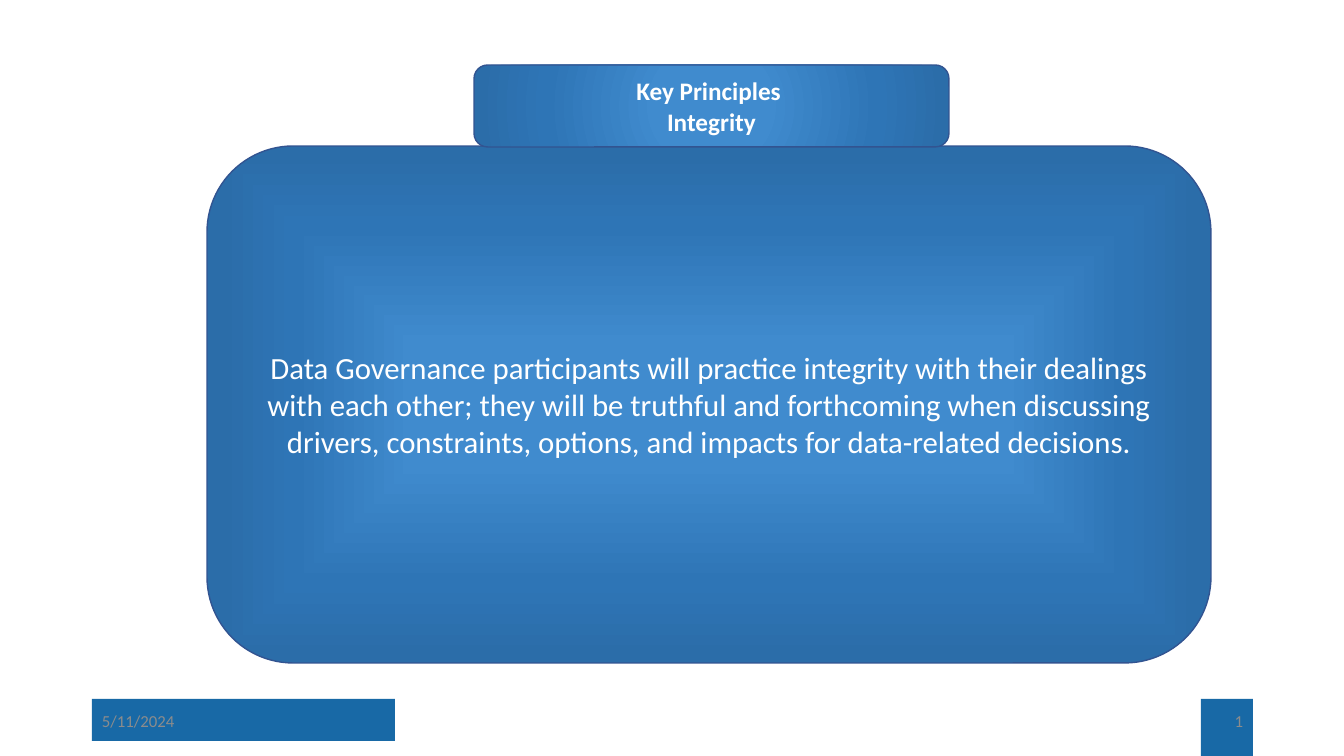
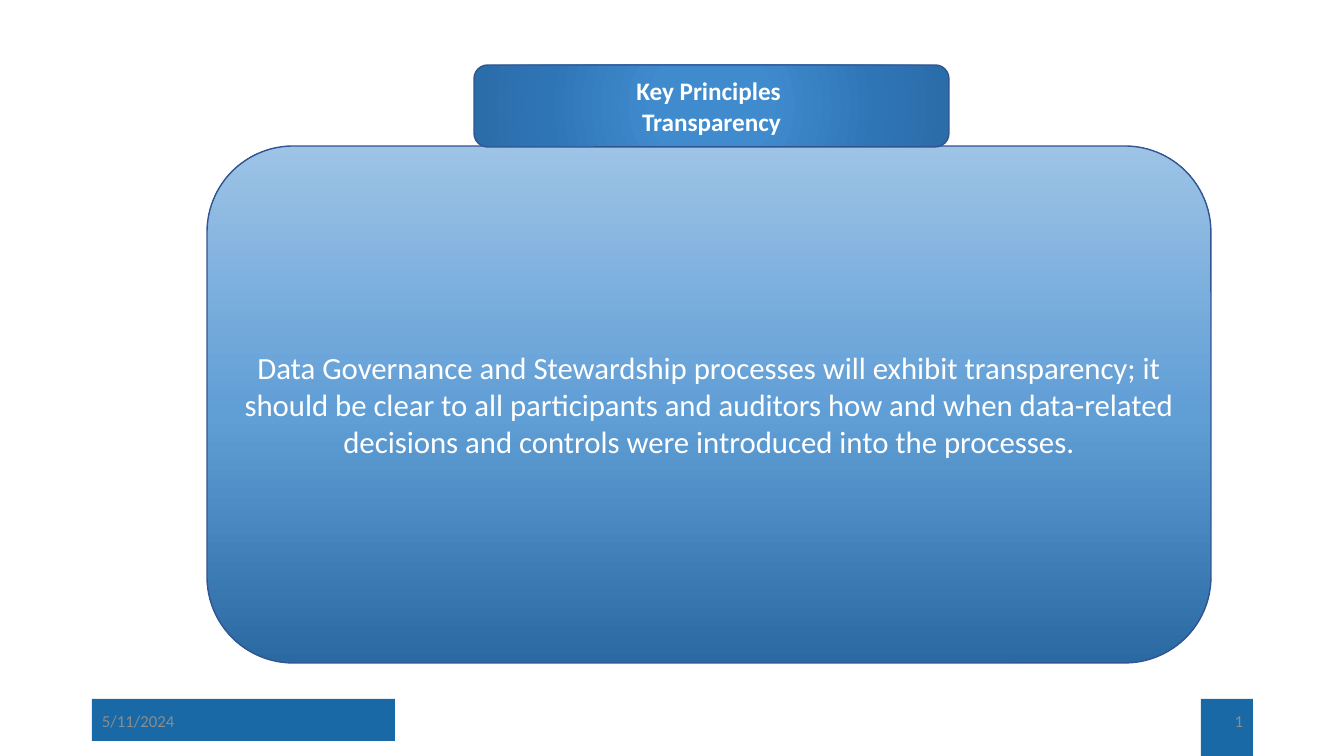
from lxml import etree
from pptx import Presentation
from pptx.dml.color import RGBColor
from pptx.enum.shapes import MSO_SHAPE
from pptx.enum.text import MSO_ANCHOR, PP_ALIGN
from pptx.oxml.ns import qn
from pptx.util import Emu, Pt

RECTANGLE, ROUNDED = MSO_SHAPE.RECTANGLE, MSO_SHAPE.ROUNDED_RECTANGLE
LEFT, CENTER, RIGHT = PP_ALIGN.LEFT, PP_ALIGN.CENTER, PP_ALIGN.RIGHT
MIDDLE = MSO_ANCHOR.MIDDLE

EMU_PER_PX = 914400 / 100.8
FONT = "Calibri"
WHITE = RGBColor(0xFF, 0xFF, 0xFF)
GREY = RGBColor(0x8C, 0x8C, 0x8C)
BAND = RGBColor(0x18, 0x69, 0xA6)
OUTLINE = RGBColor(0x32, 0x54, 0x91)
BRIGHT = RGBColor(0x40, 0x8B, 0xCE)
MEDIUM = RGBColor(0x2E, 0x75, 0xB6)
DEEP = RGBColor(0x2B, 0x6D, 0xA9)
DARK = RGBColor(0x2A, 0x69, 0xA2)
SKY = RGBColor(0x60, 0x9E, 0xD6)
PALE = RGBColor(0x9D, 0xC3, 0xE6)

GLOW = [(0, BRIGHT), (23, BRIGHT), (69, MEDIUM), (97, DEEP)]
RISING = [(0, DARK), (48, SKY), (100, PALE)]

PAGE_SIZE = (1344, 756)
TITLE_BOX = (474, 65, 475, 82)
BODY_BOX = (207, 146, 1004, 517)
FOOTER_BOX = (92, 699, 1161, 57)

PRINCIPLES = [
    ("Integrity",
     "Data Governance participants will practice integrity with their dealings "
     "with each other; they will be truthful and forthcoming when discussing "
     "drivers, constraints, options, and impacts for data-related decisions.",
     GLOW, "shape"),
    ("Transparency",
     "Data Governance and Stewardship processes will exhibit transparency; it "
     "should be clear to all participants and auditors how and when data-related "
     "decisions and controls were introduced into the processes.",
     RISING, None),
]


def px(length):
    """Turn pixels into EMU."""
    return Emu(round(length * EMU_PER_PX))


def write(shape, lines, size, color, align, bold=False):
    """Fill a shape with vertically centred paragraphs of one style."""
    frame = shape.text_frame
    frame.word_wrap = True
    frame.vertical_anchor = MIDDLE
    frame.text = "\n".join(lines)
    for para in frame.paragraphs:
        para.alignment = align
        font = para.font
        font.name, font.size, font.bold = FONT, Pt(size), bold
        font.color.rgb = color


def add_label(page, box, text, align):
    """Add a grey footer text."""
    label = page.shapes.add_textbox(*map(px, box))
    write(label, [text], 12, GREY, align)


def add_band(page, box):
    """Add a plain footer band."""
    band = page.shapes.add_shape(RECTANGLE, *map(px, box))
    band.shadow.inherit = False
    band.fill.solid()
    band.fill.fore_color.rgb = BAND
    band.line.fill.background()


def set_gradient(shape, stops, path):
    """Give a shape a gradient from its centre, or upwards without a path."""
    shape.fill.gradient()
    gradient = shape.element.spPr.find(qn("a:gradFill"))
    for child in list(gradient):
        gradient.remove(child)
    stop_list = etree.SubElement(gradient, qn("a:gsLst"))
    for percent, color in stops:
        stop = etree.SubElement(stop_list, qn("a:gs"), pos=str(percent * 1000))
        etree.SubElement(stop, qn("a:srgbClr"), val=str(color))
    if path:
        course = etree.SubElement(gradient, qn("a:path"), path=path)
        etree.SubElement(course, qn("a:fillToRect"), dict.fromkeys("ltrb", "50000"))
    else:
        etree.SubElement(gradient, qn("a:lin"), ang="16200000", scaled="0")


def add_panel(page, box, stops, path):
    """Add an outlined rounded panel with a gradient."""
    panel = page.shapes.add_shape(ROUNDED, *map(px, box))
    panel.shadow.inherit = False
    set_gradient(panel, stops, path)
    panel.line.color.rgb = OUTLINE
    panel.line.width = Pt(1)
    return panel


def add_footer(page, box):
    """Add the date band on the left and the number band on the right."""
    left, top, width, height = box
    label_width, label_height, number_width = 303, 40, 52
    right = left + width
    add_band(page, (left, top, label_width, 42))
    add_band(page, (right - number_width, top, number_width, height))
    add_label(page, (left, top + 2, label_width, label_height), "5/11/2024", LEFT)
    add_label(page, (right - label_width, top + 2, label_width, label_height), "1", RIGHT)


def add_principle(deck, name, statement, stops, path):
    """Add a slide that states one key principle."""
    page = deck.slides.add_slide(deck.slide_layouts[6])
    add_footer(page, FOOTER_BOX)
    body = add_panel(page, BODY_BOX, stops, path)
    write(body, [statement], 22, WHITE, CENTER)
    title = add_panel(page, TITLE_BOX, GLOW, "circle")
    write(title, ["Key Principles ", name], 18, WHITE, CENTER, bold=True)


def main():
    """Build and save the deck."""
    deck = Presentation()
    deck.slide_width, deck.slide_height = map(px, PAGE_SIZE)
    for principle in PRINCIPLES:
        add_principle(deck, *principle)
    deck.save("out.pptx")


if __name__ == "__main__":
    main()
